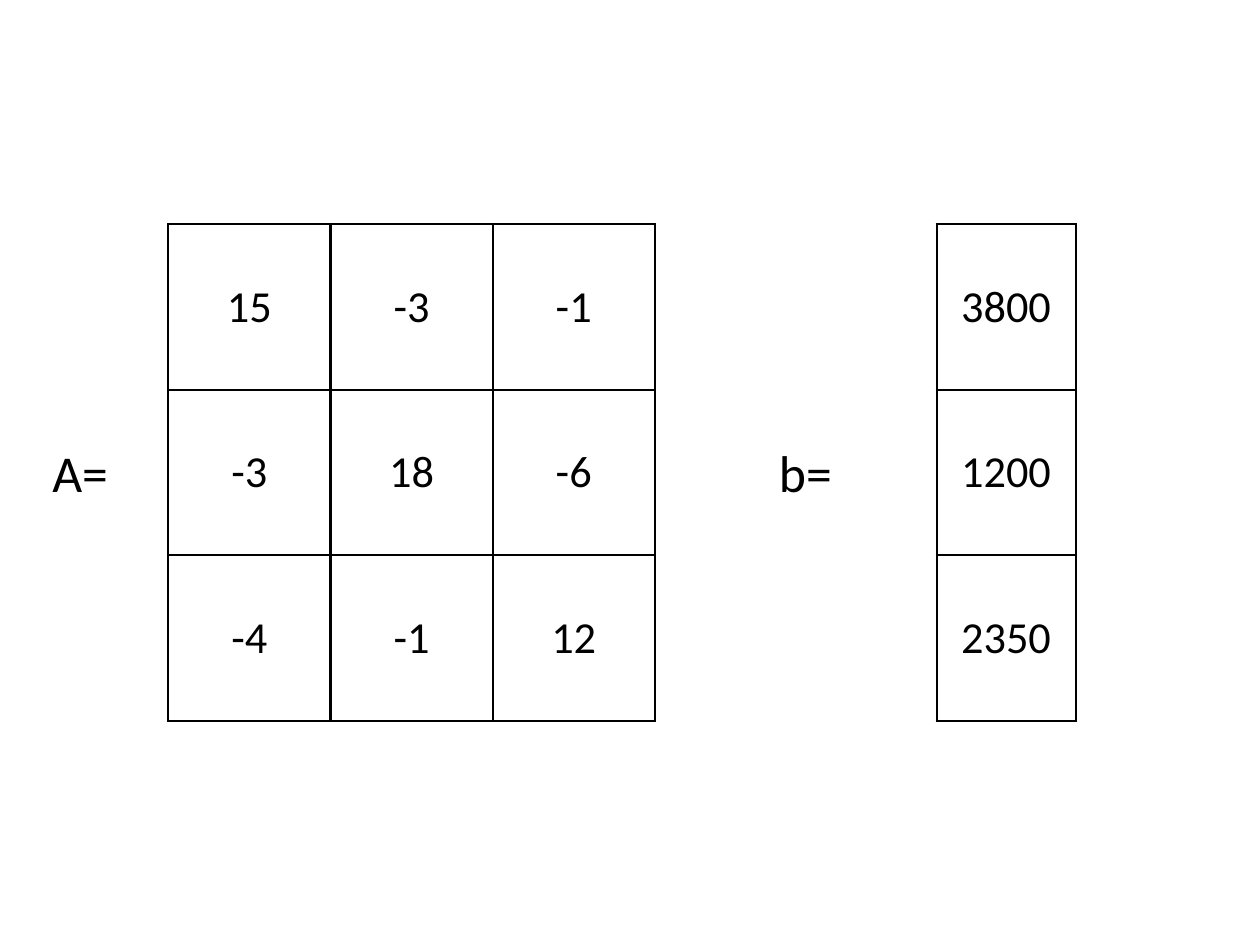
"""Build a slide showing the matrix A and the vector b of a linear system."""
from dataclasses import dataclass

from lxml import etree
from pptx import Presentation
from pptx.dml.color import RGBColor
from pptx.enum import text
from pptx.oxml import ns
from pptx.util import Inches, Pt


@dataclass(frozen=True)
class Theme:
    """Colours, font and sizes of the slide."""
    ink: str = "000000"
    paper: str = "FFFFFF"
    font: str = "Calibri"
    cell_size: int = 36
    label_size: int = 42
    border: int = 2
    inset: float = 0.06


THEME = Theme()


def style_paragraph(p, size):
    """Centre a paragraph and set its font."""
    p.alignment = text.PP_ALIGN.CENTER
    p.font.name = THEME.font
    p.font.size = Pt(size)
    p.font.color.rgb = RGBColor.from_string(THEME.ink)


def set_insets(holder):
    """Give a cell or text frame equal insets and middle anchoring."""
    for side in ("left", "right", "top", "bottom"):
        setattr(holder, f"margin_{side}", Inches(THEME.inset))
    holder.vertical_anchor = text.MSO_ANCHOR.MIDDLE


def set_borders(cell):
    """Draw a solid line on all four sides of a cell."""
    tc_pr = cell._tc.get_or_add_tcPr()
    for side in ("lnL", "lnR", "lnT", "lnB"):
        ln = etree.SubElement(tc_pr, ns.qn(f"a:{side}"), w=str(Pt(THEME.border)))
        fill = etree.SubElement(ln, ns.qn("a:solidFill"))
        etree.SubElement(fill, ns.qn("a:srgbClr"), val=THEME.ink)


def add_matrix(s, values, left, top, col_width, row_height):
    """Place a bordered table of values with equal cells."""
    rows, cols = len(values), len(values[0])
    table = s.shapes.add_table(rows, cols, Inches(left), Inches(top),
                               Inches(cols * col_width), Inches(rows * row_height)).table
    table.first_row = table.horz_banding = False
    for column in table.columns:
        column.width = Inches(col_width)
    for row, row_values in zip(table.rows, values):
        row.height = Inches(row_height)
        for cell, value in zip(row.cells, row_values):
            cell.text = str(value)
            set_insets(cell)
            set_borders(cell)
            cell.fill.solid()
            cell.fill.fore_color.rgb = RGBColor.from_string(THEME.paper)
            style_paragraph(cell.text_frame.paragraphs[0], THEME.cell_size)


def add_label(s, name, left, top, width, height):
    """Place the name of a matrix in its box."""
    sp = s.shapes.add_textbox(Inches(left), Inches(top), Inches(width), Inches(height))
    tf = sp.text_frame
    tf.word_wrap = False
    tf.auto_size = text.MSO_AUTO_SIZE.SHAPE_TO_FIT_TEXT
    set_insets(tf)
    tf.text = name
    style_paragraph(tf.paragraphs[0], THEME.label_size)


def main():
    """Build and save the slide."""
    prs = Presentation()
    prs.slide_width, prs.slide_height = Inches(14.22), Inches(10.67)
    s = prs.slides.add_slide(prs.slide_layouts[6])
    matrix_top, row_height = 2.53, 1.87
    label_top, label_height = 4.93, 0.79
    add_matrix(s, [[15, -3, -1], [-3, 18, -6], [-4, -1, 12]],
               1.9, matrix_top, 1.83, row_height)
    add_matrix(s, [[3800], [1200], [2350]], 10.57, matrix_top, 1.57, row_height)
    add_label(s, "b=", 8.71, label_top, 0.76, label_height)
    add_label(s, "A=", 0.48, label_top, 0.85, label_height)
    prs.save("out.pptx")


if __name__ == "__main__":
    main()
